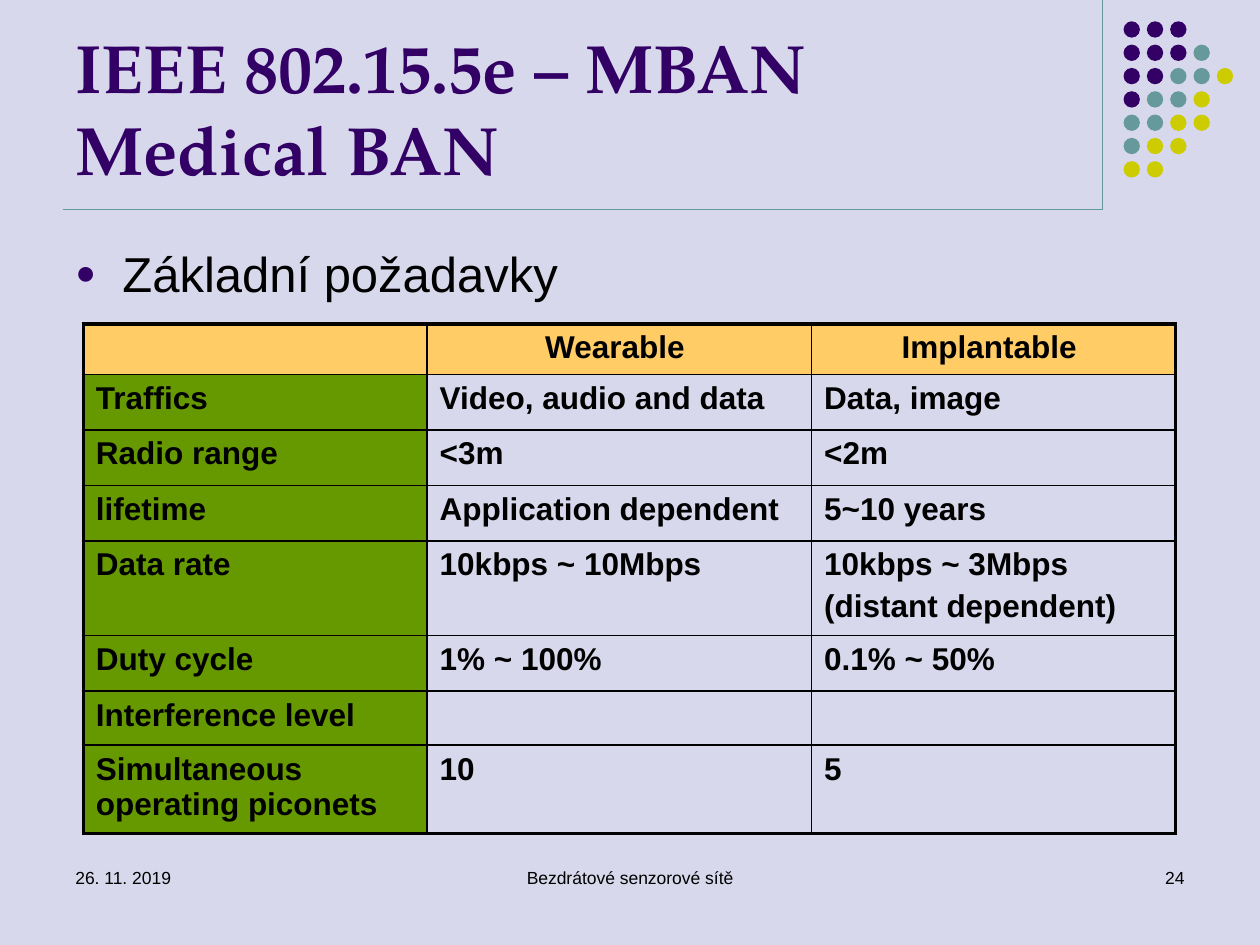
from lxml.etree import SubElement
from pptx import Presentation
from pptx.dml.color import RGBColor
from pptx.enum.shapes import MSO_CONNECTOR, MSO_SHAPE
from pptx.enum.text import MSO_ANCHOR, PP_ALIGN
from pptx.oxml.ns import qn
from pptx.util import Cm, Pt

COLORS = {
    "back": "D8D8EC", "purple": "330066", "teal": "669999", "lime": "CCCC00",
    "head": "FFCC66", "green": "669900", "black": "000000",
}
DOTS = ["PPP", "PPPT", "PPTTY", "PTTY", "TTYY", "TYY", "YY"]
TINTS = {"P": "purple", "T": "teal", "Y": "lime"}
ROWS = [
    ("", "Wearable ", "Implantable "),
    ("Traffics ", "Video, audio and data", "Data, image"),
    ("Radio range", "<3m", "<2m"),
    ("lifetime", "Application dependent", "5~10 years"),
    ("Data rate", "10kbps ~ 10Mbps", "10kbps ~ 3Mbps\n(distant dependent)"),
    ("Duty cycle", "1% ~ 100%", "0.1% ~ 50%"),
    ("Interference level", "", ""),
    ("Simultaneous operating piconets", "10", "5 "),
]
WIDTHS = [6.93, 7.75, 7.34]
HEIGHTS = [0.94, 1.12, 1.12, 1.12, 1.7, 1.12, 1.09, 1.57]


def color(name):
    return RGBColor.from_string(COLORS[name])


def paint(fill, name):
    fill.solid()
    fill.fore_color.rgb = color(name)


def add_run(para, text, size, font="Arial", tint="black", bold=False):
    run = para.add_run()
    run.text = text
    run.font.size = Pt(size)
    run.font.name = font
    run.font.bold = bold
    run.font.color.rgb = color(tint)


def space(para):
    before = SubElement(para._p.get_or_add_pPr(), qn("a:spcBef"))
    SubElement(before, qn("a:spcPct"), val="20000")


def add_box(slide, left, top, width, height, align=PP_ALIGN.LEFT):
    box = slide.shapes.add_textbox(Cm(left), Cm(top), Cm(width), Cm(height))
    frame = box.text_frame
    frame.word_wrap = True
    para = frame.paragraphs[0]
    para.alignment = align
    return frame, para


def add_line(slide, x1, y1, x2, y2):
    line = slide.shapes.add_connector(
        MSO_CONNECTOR.STRAIGHT, Cm(x1), Cm(y1), Cm(x2), Cm(y2))
    line.line.color.rgb = color("teal")
    line.line.width = Pt(0.75)
    SubElement(line._element.spPr, qn("a:effectLst"))


def add_dots(slide):
    for row, marks in enumerate(DOTS):
        for col, mark in enumerate(marks):
            dot = slide.shapes.add_shape(
                MSO_SHAPE.OVAL, Cm(22.65 + 0.47 * col), Cm(0.43 + 0.47 * row),
                Cm(0.33), Cm(0.33))
            dot.shadow.inherit = False
            paint(dot.fill, TINTS[mark])
            dot.line.fill.background()


def add_title(slide):
    frame, para = add_box(slide, 1.27, 0.33, 20.96, 3.6)
    frame.vertical_anchor = MSO_ANCHOR.BOTTOM
    style = (39, "TeX Gyre Pagella", "purple", True)
    add_run(para, "IEEE 802.15.5e – MBAN", *style)
    para.add_line_break()
    add_run(para, "Medical BAN", *style)


def add_bullet(slide):
    para = add_box(slide, 1.27, 4.78, 22.86, 1.75)[1]
    space(para)
    props = para._p.get_or_add_pPr()
    props.set("marL", str(Cm(0.95)))
    props.set("indent", str(-Cm(0.95)))
    tint = SubElement(props, qn("a:buClr"))
    SubElement(tint, qn("a:srgbClr"), val=COLORS["purple"])
    SubElement(props, qn("a:buSzPct"), val="70000")
    SubElement(props, qn("a:buFont"), typeface="Arial")
    SubElement(props, qn("a:buChar"), char="●")
    add_run(para, "Základní požadavky", 28)


def add_edge(cell, side, width):
    line = SubElement(cell._tc.get_or_add_tcPr(), qn("a:ln" + side),
                      w=str(Pt(width)))
    fill = SubElement(line, qn("a:solidFill"))
    SubElement(fill, qn("a:srgbClr"), val=COLORS["black"])


def fill_cell(cell, text, row, col):
    outer = {"L": col == 0, "R": col == len(WIDTHS) - 1,
             "T": row == 0, "B": row == len(ROWS) - 1}
    for side, thick in outer.items():
        add_edge(cell, side, 2.25 if thick else 1)
    if row == 0:
        paint(cell.fill, "head")
    elif col == 0:
        paint(cell.fill, "green")
    else:
        cell.fill.background()
    frame = cell.text_frame
    for i, part in enumerate(text.split("\n")):
        para = frame.add_paragraph() if i else frame.paragraphs[0]
        para.alignment = PP_ALIGN.LEFT if row else PP_ALIGN.CENTER
        space(para)
        if part:
            add_run(para, part, 18, bold=True)


def add_grid(slide):
    table = slide.shapes.add_table(
        len(ROWS), len(WIDTHS), Cm(1.68), Cm(6.53),
        Cm(sum(WIDTHS)), Cm(sum(HEIGHTS))).table
    table.first_row = False
    table.horz_banding = False
    for col, width in zip(table.columns, WIDTHS):
        col.width = Cm(width)
    for row, height in zip(table.rows, HEIGHTS):
        row.height = Cm(height)
    for r, texts in enumerate(ROWS):
        for c, text in enumerate(texts):
            fill_cell(table.cell(r, c), text, r, c)


def add_foot(slide):
    for text, left, width, align in [
        ("26. 11. 2019", 1.27, 5.93, PP_ALIGN.LEFT),
        ("Bezdrátové senzorové sítě", 8.68, 8.04, PP_ALIGN.CENTER),
        ("24", 18.2, 5.93, PP_ALIGN.RIGHT),
    ]:
        para = add_box(slide, left, 17.35, width, 1.27, align)[1]
        add_run(para, text, 10)


def main():
    deck = Presentation()
    deck.slide_width, deck.slide_height = Cm(25.4), Cm(19.05)
    slide = deck.slides.add_slide(deck.slide_layouts[6])
    paint(slide.background.fill, "back")
    add_line(slide, 22.23, 0, 22.23, 4.23)
    add_dots(slide)
    add_line(slide, 1.27, 4.23, 22.23, 4.23)
    add_title(slide)
    add_bullet(slide)
    add_foot(slide)
    add_grid(slide)
    deck.save("out.pptx")


main()
